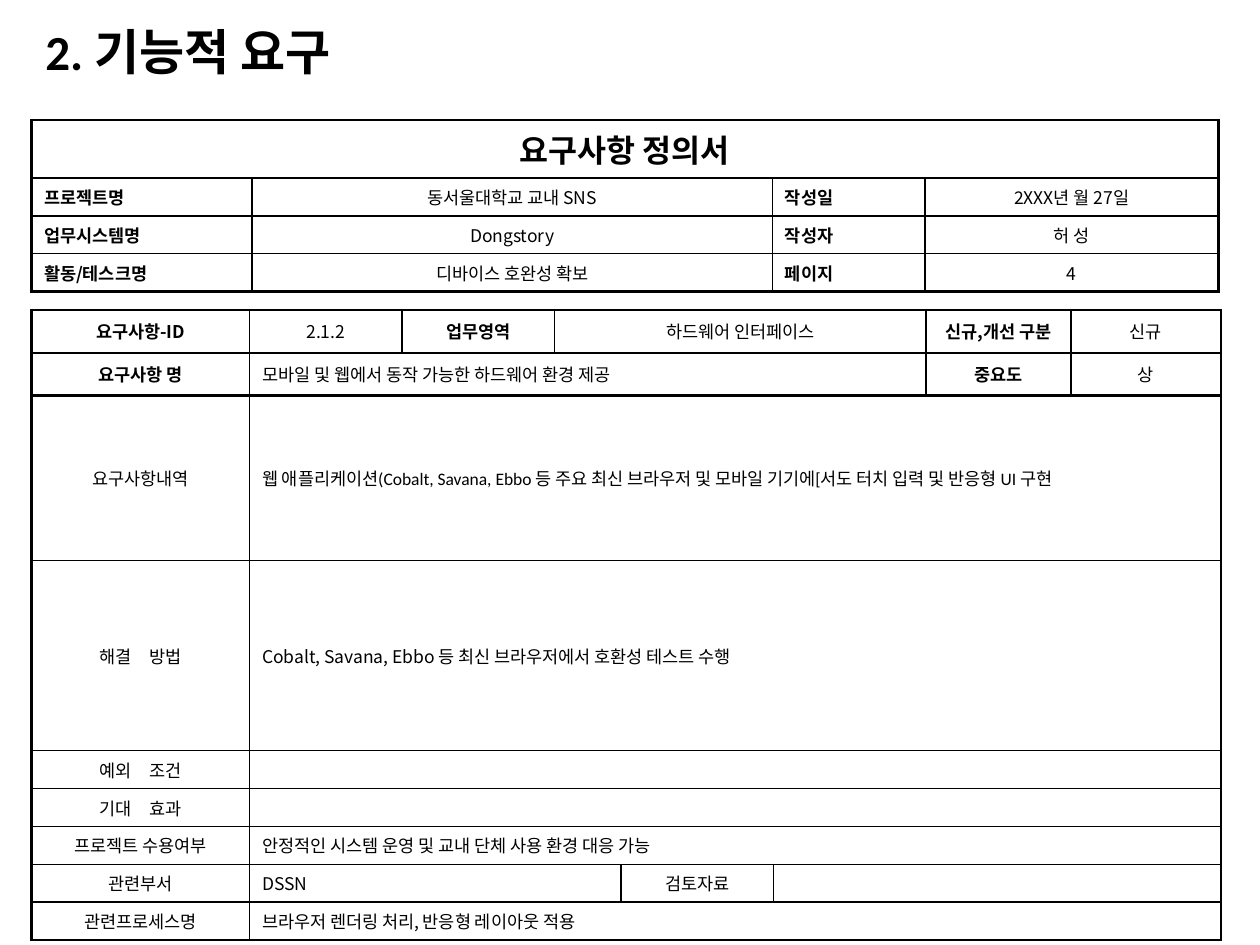
"""Build the slide of functional needs with its two form tables."""
import dataclasses
import typing

import lxml.etree
import pptx
import pptx.dml.color
import pptx.enum.text
import pptx.oxml.ns
import pptx.util

ALIGN = pptx.enum.text.PP_ALIGN
ANCHOR = pptx.enum.text.MSO_ANCHOR
WIDE, TALL = pptx.util.Inches(10), pptx.util.Inches(7.5)
NOTO, LATIN = "Noto Sans CJK KR", "Calibri"
INK = "000000"
THIN, THICK = 1, 1.5


@dataclasses.dataclass
class Cell:
    """One table cell; a bar in its text marks a wide gap."""
    text: str = ""
    span: int = 1
    bold: bool = False
    align: typing.Any = ALIGN.CENTER
    face: str = NOTO
    size: float = 10


@dataclasses.dataclass
class Form:
    """One table; places and lengths are percentages of the slide's size."""
    top: float
    cols: list[float]
    rows: list[float]
    cells: list[list[Cell]]
    heavy: set[int]
    middle: set[int]
    left: float = 2.5


def across(share: float) -> int:
    """Turn a percentage of the slide's width into a length."""
    return round(WIDE * share / 100)


def down(share: float) -> int:
    """Turn a percentage of the slide's height into a length."""
    return round(TALL * share / 100)


def tint(code: str) -> pptx.dml.color.RGBColor:
    """Turn a hex string into a colour."""
    return pptx.dml.color.RGBColor.from_string(code)


def add_run(para: typing.Any, text: str, face: str, size: float, bold: bool) -> typing.Any:
    """Add one styled run and return it."""
    run = para.add_run()
    run.text = text
    run.font.name, run.font.size, run.font.bold = face, pptx.util.Pt(size), bold
    run.font.color.rgb = tint(INK)
    east = lxml.etree.Element(pptx.oxml.ns.qn("a:ea"), typeface=NOTO)
    run.font._element.find(pptx.oxml.ns.qn("a:latin")).addnext(east)
    return run


def add_edge(box: typing.Any, side: str, width: float) -> None:
    """Draw one border of a cell."""
    name = pptx.oxml.ns.qn
    line = lxml.etree.SubElement(
        box._tc.get_or_add_tcPr(), name("a:ln" + side), w=str(pptx.util.Pt(width)))
    fill = lxml.etree.SubElement(line, name("a:solidFill"))
    lxml.etree.SubElement(fill, name("a:srgbClr"), val=INK)


def fill_cell(box: typing.Any, cell: Cell) -> None:
    """Write the text of a cell run by run."""
    para = box.text_frame.paragraphs[0]
    para.alignment = cell.align
    if not cell.text:
        lxml.etree.SubElement(
            para._p, pptx.oxml.ns.qn("a:endParaRPr"), sz=str(round(cell.size * 100)))
        return
    for spot, part in enumerate(cell.text.split("|")):
        if spot:
            gap = add_run(para, " ", cell.face, cell.size, cell.bold)
            gap.font._element.set("spc", "800")
        add_run(para, part, cell.face, cell.size, cell.bold)


def draw_form(slide: typing.Any, form: Form) -> None:
    """Draw a table with heavy outer edges and thin inner ones."""
    frame = slide.shapes.add_table(
        len(form.rows), len(form.cols), across(form.left), down(form.top),
        across(sum(form.cols)), down(sum(form.rows)))
    table = frame.table
    table.first_row = table.horz_banding = False
    for col, share in zip(table.columns, form.cols):
        col.width = across(share)
    for row, share in zip(table.rows, form.rows):
        row.height = down(share)
    for r, line in enumerate(form.cells):
        c = 0
        for cell in line:
            box, end = table.cell(r, c), c + cell.span
            if cell.span > 1:
                box.merge(table.cell(r, end - 1))
            edges = {"L": c == 0, "R": end == len(form.cols),
                     "T": r in form.heavy, "B": r + 1 in form.heavy}
            for side, thick in edges.items():
                add_edge(box, side, THICK if thick else THIN)
            box.fill.background()
            box.vertical_anchor = ANCHOR.MIDDLE if r in form.middle else ANCHOR.TOP
            fill_cell(box, cell)
            c = end


def draw_title(slide: typing.Any, text: str) -> None:
    """Place and format the slide's title."""
    title = slide.shapes.title
    title.left, title.top = across(2.6), down(2.8)
    title.width, title.height = across(53.6), down(5.87)
    title.text_frame.vertical_anchor = ANCHOR.MIDDLE
    para = title.text_frame.paragraphs[0]
    para.alignment, para.line_spacing = ALIGN.LEFT, 0.9
    add_run(para, text, LATIN, 28, True)


def head(text: str) -> Cell:
    """Make a bold centred label."""
    return Cell(text, bold=True)


def note(text: str, span: int = 7, face: str = NOTO) -> Cell:
    """Make a wide cell set from the left."""
    return Cell(text, span, align=ALIGN.LEFT, face=face)


def facts(name: str, value: str, label: str, data: str) -> list[Cell]:
    """Make a row of two bold labels, each with its value."""
    return [Cell(name, bold=True, align=ALIGN.JUSTIFY), Cell(value),
            Cell(label, bold=True, align=ALIGN.JUSTIFY), Cell(data)]


NEEDS = Form(
    top=32.8,
    cols=[17.3, 12.1, 12.1, 5.3, 12.1, 12.1, 11.5, 11.9],
    rows=[4.53] * 2 + [17.47, 20.13] + [3.6] * 5,
    heavy={0, 1, 2, 9},
    middle=set(range(9)),
    cells=[
        [head("요구사항-ID"), Cell("2.1.2"), head("업무영역"),
         Cell("하드웨어 인터페이스", 3), head("신규,개선 구분"), Cell("신규")],
        [head("요구사항 명"), note("모바일 및 웹에서 동작 가능한 하드웨어 환경 제공", 5, LATIN),
         head("중요도"), Cell("상")],
        [Cell("요구사항내역"),
         note("웹 애플리케이션(Cobalt, Savana, Ebbo 등 주요 최신 브라우저 및 "
              "모바일 기기에[서도 터치 입력 및 반응형 UI 구현", face=LATIN)],
        [Cell("해결|방법"), note("Cobalt, Savana, Ebbo 등 최신 브라우저에서 호환성 테스트 수행")],
        [Cell("예외|조건"), note("")],
        [Cell("기대|효과"), note("")],
        [Cell("프로젝트 수용여부"), note("안정적인 시스템 운영 및 교내 단체 사용 환경 대응 가능")],
        [Cell("관련부서"), note("DSSN", 3), Cell("검토자료"), note("", 3)],
        [Cell("관련프로세스명"), note("브라우저 렌더링 처리, 반응형 레이아웃 적용")],
    ])

SHEET = Form(
    top=12.67,
    cols=[17.5, 41.3, 12.1, 23.3],
    rows=[6.13] + [3.6] * 3,
    heavy={0, 4},
    middle={0},
    cells=[
        [Cell("요구사항 정의서", 4, True, size=18)],
        facts("프로젝트명", "동서울대학교 교내 SNS", "작성일", "2XXX년 월 27일"),
        facts("업무시스템명", "Dongstory", "작성자", "허 성"),
        facts("활동/테스크명", "디바이스 호완성 확보", "페이지", "4"),
    ])


def main() -> None:
    """Build and save the deck."""
    deck = pptx.Presentation()
    deck.slide_width, deck.slide_height = WIDE, TALL
    slide = deck.slides.add_slide(deck.slide_layouts[5])
    draw_title(slide, "2. 기능적 요구")
    for form in (NEEDS, SHEET):
        draw_form(slide, form)
    deck.save("out.pptx")


if __name__ == "__main__":
    main()
